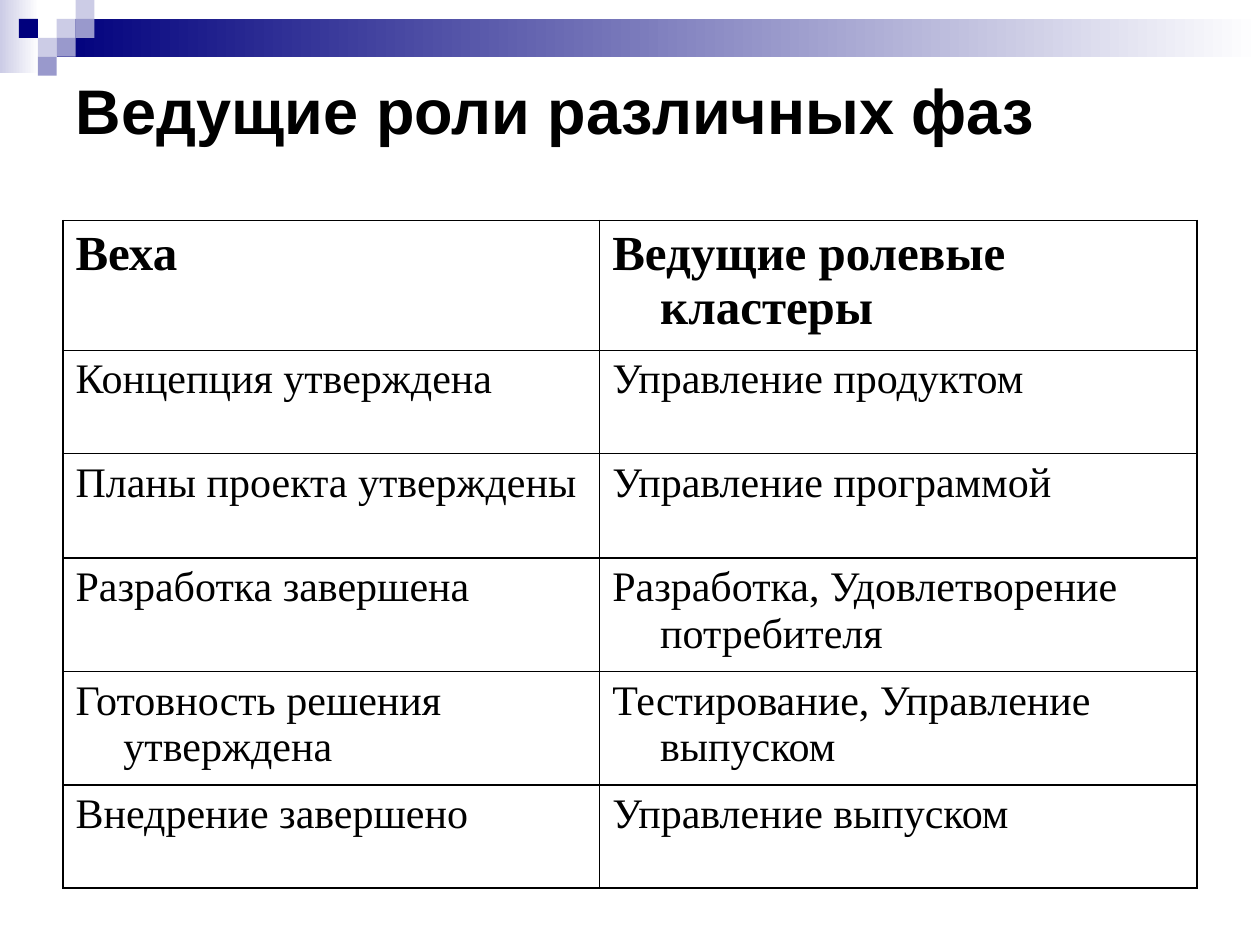
"""Build a slide with a table of the leading roles in each project phase."""
from lxml import etree
from pptx import Presentation
from pptx.dml.color import RGBColor
from pptx.enum.shapes import MSO_SHAPE
from pptx.enum.text import MSO_ANCHOR, PP_ALIGN
from pptx.oxml.ns import qn
from pptx.util import Inches, Pt

RECTANGLE = MSO_SHAPE.RECTANGLE
MIDDLE = MSO_ANCHOR.MIDDLE
LEFT = PP_ALIGN.LEFT

BLACK = RGBColor(0x00, 0x00, 0x00)
WHITE = RGBColor(0xFF, 0xFF, 0xFF)
NAVY = RGBColor(0x00, 0x00, 0x7D)
LAVENDER = RGBColor(0xCC, 0xCC, 0xE6)
PERIWINKLE = RGBColor(0x99, 0x99, 0xCC)

BANDS = [(0, 0, 0.31, 0.58, LAVENDER), (0.45, 0.15, 9.55, 0.3, NAVY)]
SQUARE = 0.15
SQUARES = [
    (3, 1, LAVENDER),
    (4, 0, LAVENDER),
    (4, 1, PERIWINKLE),
    (2, 2, LAVENDER),
    (1, 1, NAVY),
    (3, 2, PERIWINKLE),
    (2, 3, PERIWINKLE),
]
COLUMN_WIDTHS = [4.26, 4.74]
ROW_HEIGHTS = [1.03, 0.82, 0.83, 0.9, 0.9, 0.82]
ROWS = [
    ("Веха", "Ведущие ролевые кластеры"),
    ("Концепция утверждена", "Управление продуктом"),
    ("Планы проекта утверждены", "Управление программой"),
    ("Разработка завершена", "Разработка, Удовлетворение потребителя"),
    ("Готовность решения утверждена", "Тестирование, Управление выпуском"),
    ("Внедрение завершено", "Управление выпуском"),
]


def add_rectangle(page, left, top, width, height):
    box = page.shapes.add_shape(
        RECTANGLE, Inches(left), Inches(top), Inches(width), Inches(height))
    box.shadow.inherit = False
    box.line.fill.background()
    return box


def format_text(para, font_name, size, bold):
    for span in para.runs:
        span.font.name = font_name
        span.font.size = Pt(size)
        span.font.bold = bold
        span.font.color.rgb = BLACK


deck = Presentation()
deck.slide_width = Inches(10)
deck.slide_height = Inches(7.5)
page = deck.slides.add_slide(deck.slide_layouts[5])
page.background.fill.solid()
page.background.fill.fore_color.rgb = WHITE

for left, top, width, height, color in BANDS:
    band = add_rectangle(page, left, top, width, height)
    band.fill.gradient()
    band.fill.gradient_angle = 0
    for stop, position, stop_color in zip(band.fill.gradient_stops, (0, 1), (color, WHITE)):
        stop.position = position
        stop.color.rgb = stop_color

for column, row, color in SQUARES:
    square = add_rectangle(page, column * SQUARE, row * SQUARE, SQUARE, SQUARE)
    square.fill.solid()
    square.fill.fore_color.rgb = color

title = page.shapes.title
title.left, title.top = Inches(0.5), Inches(0.5)
title.width, title.height = Inches(9), Inches(0.73)
title.text_frame.text = "Ведущие роли различных фаз"
title.text_frame.vertical_anchor = MIDDLE
title_para = title.text_frame.paragraphs[0]
title_para.alignment = LEFT
format_text(title_para, "Arial", 36, True)

table = page.shapes.add_table(
    len(ROWS), len(COLUMN_WIDTHS), Inches(0.5), Inches(1.75),
    Inches(sum(COLUMN_WIDTHS)), Inches(sum(ROW_HEIGHTS))).table
table.first_row = False
table.horz_banding = False
for column, width in zip(table.columns, COLUMN_WIDTHS):
    column.width = Inches(width)

for row_index, (row, height, texts) in enumerate(zip(table.rows, ROW_HEIGHTS, ROWS)):
    row.height = Inches(height)
    is_header = row_index == 0
    for cell, text in zip(row.cells, texts):
        cell.text_frame.text = text
        para = cell.text_frame.paragraphs[0]
        format_text(para, "Times New Roman", 28 if is_header else 24, is_header)
        indent = Inches(0.38)
        para_properties = para._p.get_or_add_pPr()
        para_properties.set("marL", str(indent))
        para_properties.set("indent", str(-indent))
        cell_properties = cell._tc.get_or_add_tcPr()
        for side in ("a:lnL", "a:lnR", "a:lnT", "a:lnB"):
            border = etree.SubElement(cell_properties, qn(side), w=str(Pt(1)))
            border_fill = etree.SubElement(border, qn("a:solidFill"))
            etree.SubElement(border_fill, qn("a:srgbClr"), val=str(BLACK))
        cell.fill.background()

deck.save("out.pptx")
